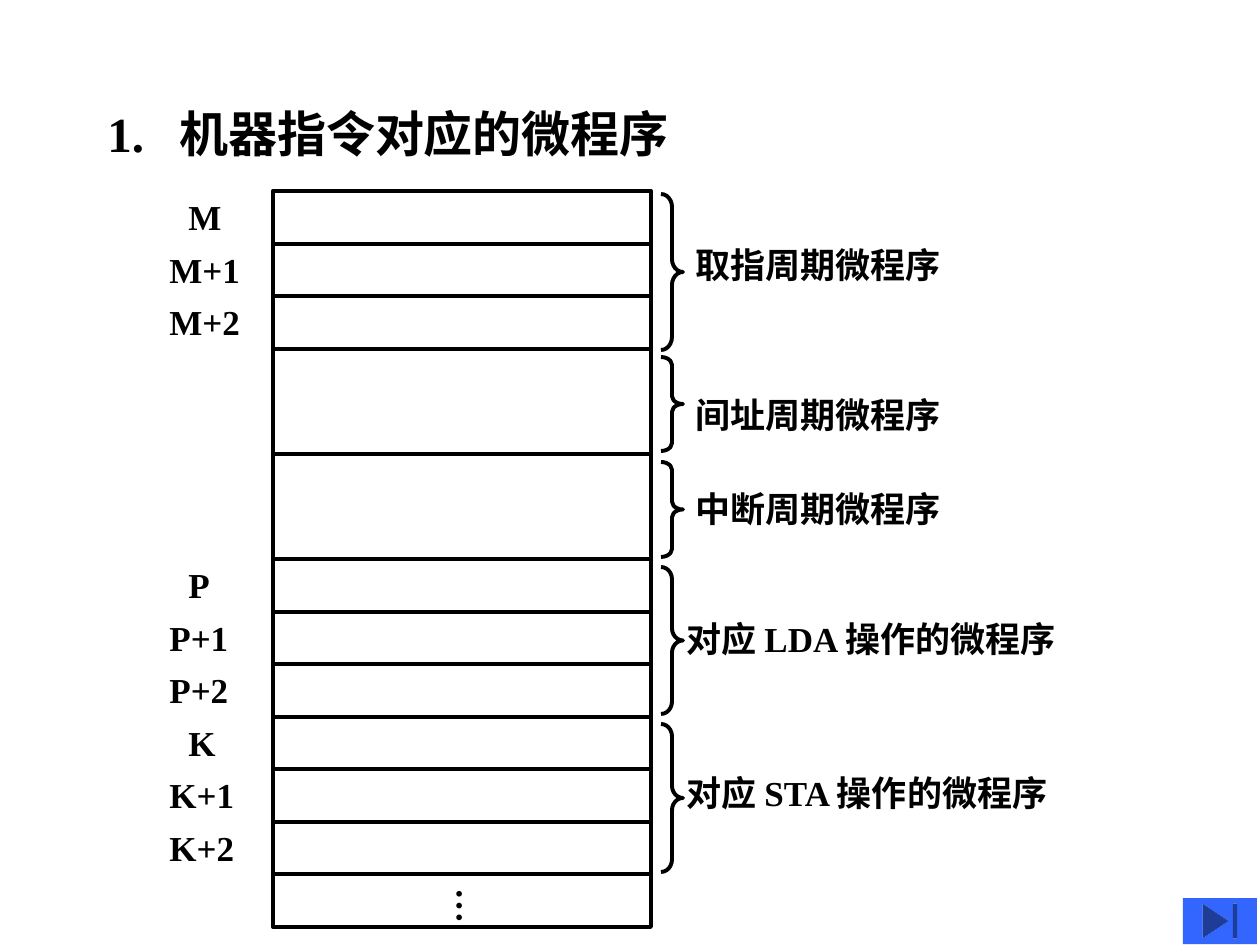
from lxml.etree import SubElement
from pptx import Presentation
from pptx.dml.color import RGBColor
from pptx.enum.shapes import MSO_CONNECTOR as LINE, MSO_SHAPE as SHAPE
from pptx.enum.text import PP_ALIGN as ALIGN
from pptx.oxml.ns import qn
from pptx.util import Pt

COLORS = {"ink": "000000", "button": "3366FF"}
TEXT = {"name": "Times New Roman", "bold": True}
UNITS = 14
LABELED_ROWS = {"M": (0, 96), "P": (7, 84), "K": (10, 90)}
ROUTINES = [
    ("取指周期微程序", (661, 194, 22, 156), (683, 237, 271)),
    ("间址周期微程序", (661, 357, 22, 94), (683, 387, 271)),
    ("中断周期微程序", (661, 462, 22, 95), (683, 481, 271)),
    ("对应 LDA 操作的微程序", (661, 567, 22, 147), (674, 611, 413)),
    ("对应 STA 操作的微程序", (661, 724, 22, 148), (674, 765, 407)),
]


def px(*lengths):
    """Turn pixel lengths into EMU."""
    return [round(length * 914400 / 126) for length in lengths]


def color(key):
    """Look up a named colour."""
    return RGBColor.from_string(COLORS[key])


def outline(part):
    """Give a shape or connector the heavy black line."""
    part.line.color.rgb = color("ink")
    part.line.width = Pt(2.25)


def add_shape(slide, kind, box):
    """Place an unfilled, outlined preset shape."""
    shape = slide.shapes.add_shape(kind, *px(*box))
    shape.shadow.inherit = False
    shape.fill.background()
    outline(shape)
    return shape


def add_line(slide, start, end):
    """Draw a straight line without a shadow."""
    line = slide.shapes.add_connector(LINE.STRAIGHT, *px(*start, *end))
    SubElement(line._element.spPr, qn("a:effectLst"))
    outline(line)


def add_text(slide, words, box, size=20, align=ALIGN.LEFT, tab=None):
    """Place one line of bold text and return its frame."""
    frame = slide.shapes.add_textbox(*px(*box)).text_frame
    frame.word_wrap = False
    paragraph = frame.paragraphs[0]
    paragraph.text, paragraph.alignment = words, align
    if tab:
        stops = SubElement(paragraph._p.get_or_add_pPr(), qn("a:tabLst"))
        SubElement(stops, qn("a:tab"), pos=str(px(tab)[0]), algn="l")
    font = paragraph.runs[0].font
    for key, value in {**TEXT, "size": Pt(size)}.items():
        setattr(font, key, value)
    font.color.rgb = color("ink")
    return frame


def add_memory(slide, left, top, width, height):
    """Draw the control memory cells and the mark for further cells."""
    edges = [top + round(height * unit / UNITS) for unit in range(UNITS + 1)]
    for unit in (0, 1, 2, *range(7, UNITS)):
        box = left, edges[unit], width, edges[unit + 1] - edges[unit]
        add_shape(slide, SHAPE.RECTANGLE, box)
    right = left + width
    for side in (left, right):
        add_line(slide, (side, edges[3]), (side, edges[7]))
    add_line(slide, (left, edges[5]), (right, edges[5]))
    more = add_text(slide, "…", (left + 158, edges[-2] + 2, 67, 48))
    margins = px(6, 13, 6, 13)
    for side, margin in zip(("left", "top", "right", "bottom"), margins):
        setattr(more, f"margin_{side}", margin)
    more._txBody.bodyPr.set("vert", "eaVert")


def add_addresses(slide, left, top, height):
    """Write three consecutive addresses beside each labelled group of rows."""
    for base, (first, width) in LABELED_ROWS.items():
        for offset in range(3):
            words = f"{base}+{offset}" if offset else base
            align = ALIGN.LEFT if offset else ALIGN.CENTER
            row_top = top + round(height * (first + offset) / UNITS)
            add_text(slide, words, (left, row_top - 2, width, 55), align=align)


def add_routine(slide, words, brace_box, label_box):
    """Bracket a group of cells and name its microprogram."""
    brace = add_shape(slide, SHAPE.RIGHT_BRACE, brace_box)
    brace.adjustments[0] = round(brace_box[3] / 12 / brace_box[2], 2)
    add_text(slide, words, (*label_box, 55))


def add_end_button(slide, box):
    """Place the blue button in the corner."""
    button = add_shape(slide, SHAPE.ACTION_BUTTON_END, box)
    button.fill.solid()
    button.fill.fore_color.rgb = color("button")
    button.line.fill.background()


def main():
    """Build and save the slide."""
    deck = Presentation()
    deck.slide_width, deck.slide_height = px(1260, 945)
    slide = deck.slides.add_slide(deck.slide_layouts[6])
    add_text(slide, "1.\t机器指令对应的微程序", (95, 97, 672, 72), size=28, tab=72)
    add_memory(slide, 273, 191, 378, 736)
    add_addresses(slide, 157, 191, 736)
    for routine in ROUTINES:
        add_routine(slide, *routine)
    add_end_button(slide, (1183, 898, 74, 46))
    deck.save("out.pptx")


if __name__ == "__main__":
    main()
